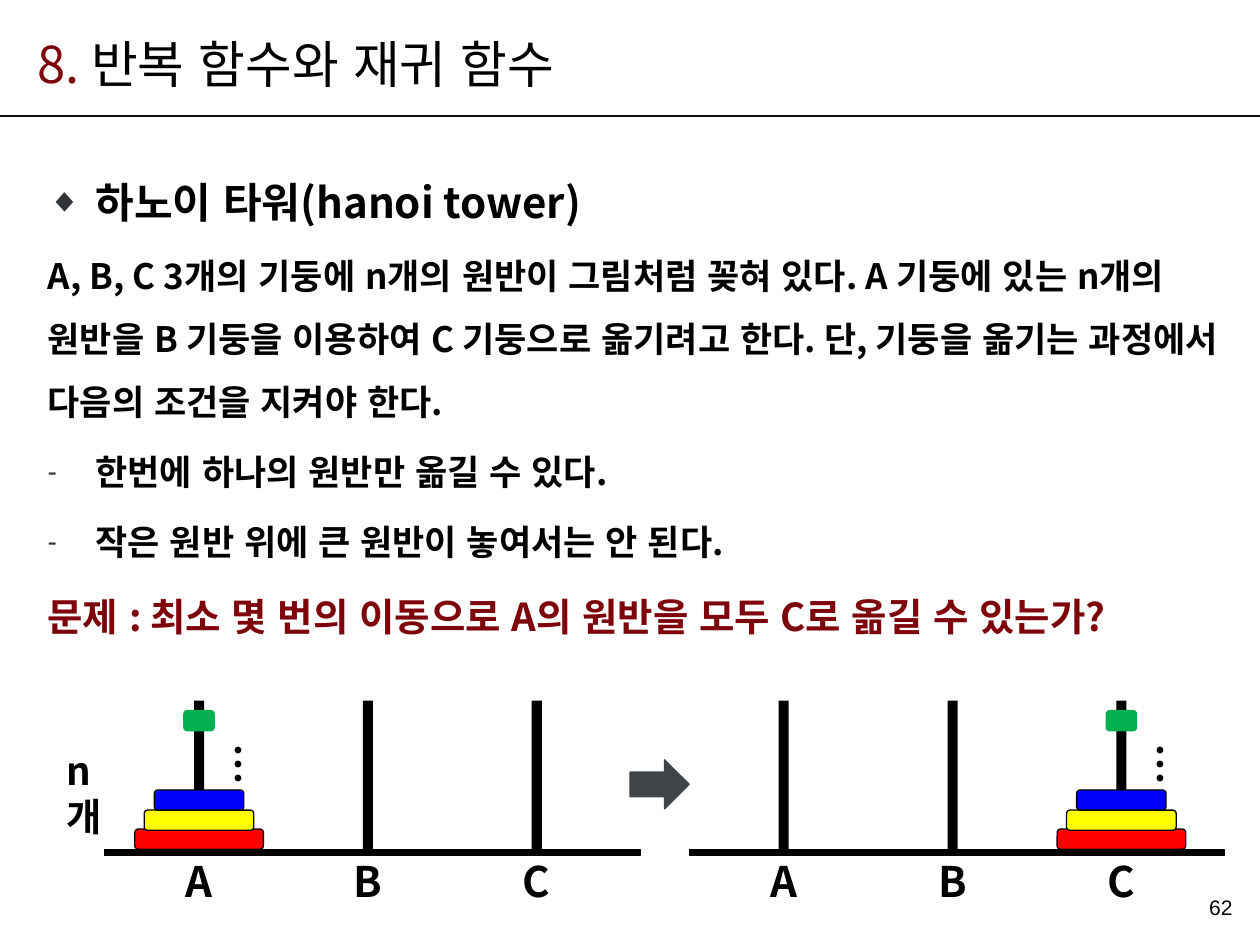
from dataclasses import dataclass

import pptx
import pptx.dml.color
import pptx.enum.shapes
import pptx.enum.text
import pptx.oxml.ns
import pptx.util
from lxml import etree

Inches = pptx.util.Inches
Pt = pptx.util.Pt
RGBColor = pptx.dml.color.RGBColor
Shape = pptx.enum.shapes.MSO_SHAPE
Align = pptx.enum.text.PP_ALIGN
Anchor = pptx.enum.text.MSO_ANCHOR
qn = pptx.oxml.ns.qn

BLACK = RGBColor(0, 0, 0)
RULE = RGBColor(0x0D, 0x0D, 0x0D)
MAROON = RGBColor(0x7E, 0x04, 0x0B)
GRAY = RGBColor(0x40, 0x44, 0x47)
RED = RGBColor(0xFF, 0, 0)
YELLOW = RGBColor(0xFF, 0xFF, 0)
BLUE = RGBColor(0, 0, 0xFF)
GREEN = RGBColor(0, 0xB0, 0x50)
BULLET = RGBColor(0x31, 0x34, 0x37)
FONT = "Noto Sans CJK KR"


@dataclass
class Item:
    text: str
    size: int
    mark: str = ""
    color: RGBColor = BLACK


@dataclass
class Disk:
    width: float
    top: float
    fill: RGBColor
    edge: RGBColor = BLACK


@dataclass
class Tower:
    left: float
    full: int


ITEMS = [
    Item("하노이 타워(hanoi tower)", 24, "◆"),
    Item("A, B, C 3개의 기둥에 n개의 원반이 그림처럼 꽂혀 있다. A 기둥에 있는 n개의 "
         "원반을 B 기둥을 이용하여 C 기둥으로 옮기려고 한다. 단, 기둥을 옮기는 "
         "과정에서 다음의 조건을 지켜야 한다.", 20),
    Item("한번에 하나의 원반만 옮길 수 있다.", 20, "-"),
    Item("작은 원반 위에 큰 원반이 놓여서는 안 된다.", 20, "-"),
    Item("문제 : 최소 몇 번의 이동으로 A의 원반을 모두 C로 옮길 수 있는가?", 22, color=MAROON),
]
DISKS = [
    Disk(1.02, 6.58, RED),
    Disk(0.87, 6.43, YELLOW),
    Disk(0.71, 6.27, BLUE),
    Disk(0.24, 5.64, GREEN, GREEN),
]
TOWERS = [Tower(0.83, 0), Tower(5.47, 2)]


def add_run(para, text: str, size: int, color: RGBColor = BLACK,
            bold: bool = True, face: str = FONT) -> None:
    run = para.add_run()
    run.text = text
    font = run.font
    font.size, font.bold, font.name = Pt(size), bold, face
    font.color.rgb = color
    props = font._element
    props.set("kern", "0")
    props.set("lang", "ko-KR")
    etree.SubElement(props, qn("a:ea")).set("typeface", face)


def add_box(slide, left: float, top: float, width: float, height: float, wrap: bool = True):
    box = slide.shapes.add_textbox(Inches(left), Inches(top), Inches(width), Inches(height))
    box.text_frame.word_wrap = wrap
    return box.text_frame


def add_label(slide, text: str, left: float, top: float, width: float, height: float,
              size: int = 24):
    frame = add_box(slide, left, top, width, height, False)
    para = frame.paragraphs[0]
    para.alignment = Align.CENTER
    add_run(para, text, size)
    return frame


def add_form(slide, kind, left: float, top: float, width: float, height: float,
             fill: RGBColor, edge: RGBColor | None = None) -> None:
    form = slide.shapes.add_shape(kind, Inches(left), Inches(top), Inches(width), Inches(height))
    form.shadow.inherit = False
    form.fill.solid()
    form.fill.fore_color.rgb = fill
    if edge is None:
        form.line.fill.background()
    else:
        form.line.color.rgb = edge
        form.line.width = Pt(0.75)


def add_mark(para, mark: str) -> None:
    props = para._p.get_or_add_pPr()
    props.set("marL", str(Inches(0.38)))
    props.set("indent", str(-Inches(0.38)))
    color = etree.SubElement(props, qn("a:buClr"))
    etree.SubElement(color, qn("a:srgbClr")).set("val", str(BULLET))
    etree.SubElement(props, qn("a:buSzPct")).set("val", "80000")
    etree.SubElement(props, qn("a:buFont")).set("typeface", "Arial")
    etree.SubElement(props, qn("a:buChar")).set("char", mark)


def add_head(slide) -> None:
    rule = slide.shapes.add_connector(pptx.enum.shapes.MSO_CONNECTOR.STRAIGHT,
                                      0, Inches(0.92), Inches(10), Inches(0.92))
    rule.line.color.rgb = RULE
    rule.line.width = Pt(1.5)
    etree.SubElement(rule._element.spPr, qn("a:effectLst"))
    title = add_box(slide, 0.2, 0.2, 8.43, 0.61)
    title.vertical_anchor = Anchor.MIDDLE
    add_run(title.paragraphs[0], "8. ", 29, MAROON, False)
    add_run(title.paragraphs[0], "반복 함수와 재귀 함수", 29, BLACK, False)
    page = add_box(slide, 7.6, 7.06, 2.28, 0.28)
    page.vertical_anchor = Anchor.MIDDLE
    page.paragraphs[0].alignment = Align.RIGHT
    add_run(page.paragraphs[0], "62", 12, BLACK, False, "Arial")


def add_body(slide) -> None:
    frame = add_box(slide, 0.28, 1.15, 9.53, 5.35)
    for i, item in enumerate(ITEMS):
        para = frame.add_paragraph() if i else frame.paragraphs[0]
        para.line_spacing = 1.5
        if i:
            para.space_before = Pt(item.size * 0.2)
        if item.mark:
            add_mark(para, item.mark)
        add_run(para, item.text, item.size, item.color)


def add_tower(slide, tower: Tower) -> None:
    add_form(slide, Shape.RECTANGLE, tower.left, 6.74, 4.25, 0.05, BLACK, BLACK)
    mids = [tower.left + 0.75 + 1.34 * i for i in range(3)]
    for name, mid in zip("ABC", mids):
        add_form(slide, Shape.RECTANGLE, mid - 0.04, 5.56, 0.08, 1.18, BLACK)
        add_label(slide, name, mid - 0.22, 6.74, 0.44, 0.5)
    mid = mids[tower.full]
    for disk in DISKS:
        add_form(slide, Shape.ROUNDED_RECTANGLE, mid - disk.width / 2, disk.top,
                 disk.width, 0.16, disk.fill, disk.edge)
    dots = add_label(slide, "…", mid - 0.04, 5.8, 0.61, 0.43)
    dots._txBody.bodyPr.set("vert", "eaVert")


def main() -> None:
    deck = pptx.Presentation()
    deck.slide_width, deck.slide_height = Inches(10), Inches(7.5)
    slide = deck.slides.add_slide(deck.slide_layouts[6])
    add_head(slide)
    add_body(slide)
    for tower in TOWERS:
        add_tower(slide, tower)
    count = add_label(slide, "n개", 0.43, 5.88, 0.6, 0.47, 22)
    count.word_wrap = True
    count.paragraphs[0].alignment = Align.LEFT
    add_form(slide, Shape.RIGHT_ARROW, 5, 6.03, 0.47, 0.39, GRAY, GRAY)
    deck.save("out.pptx")


if __name__ == "__main__":
    main()
